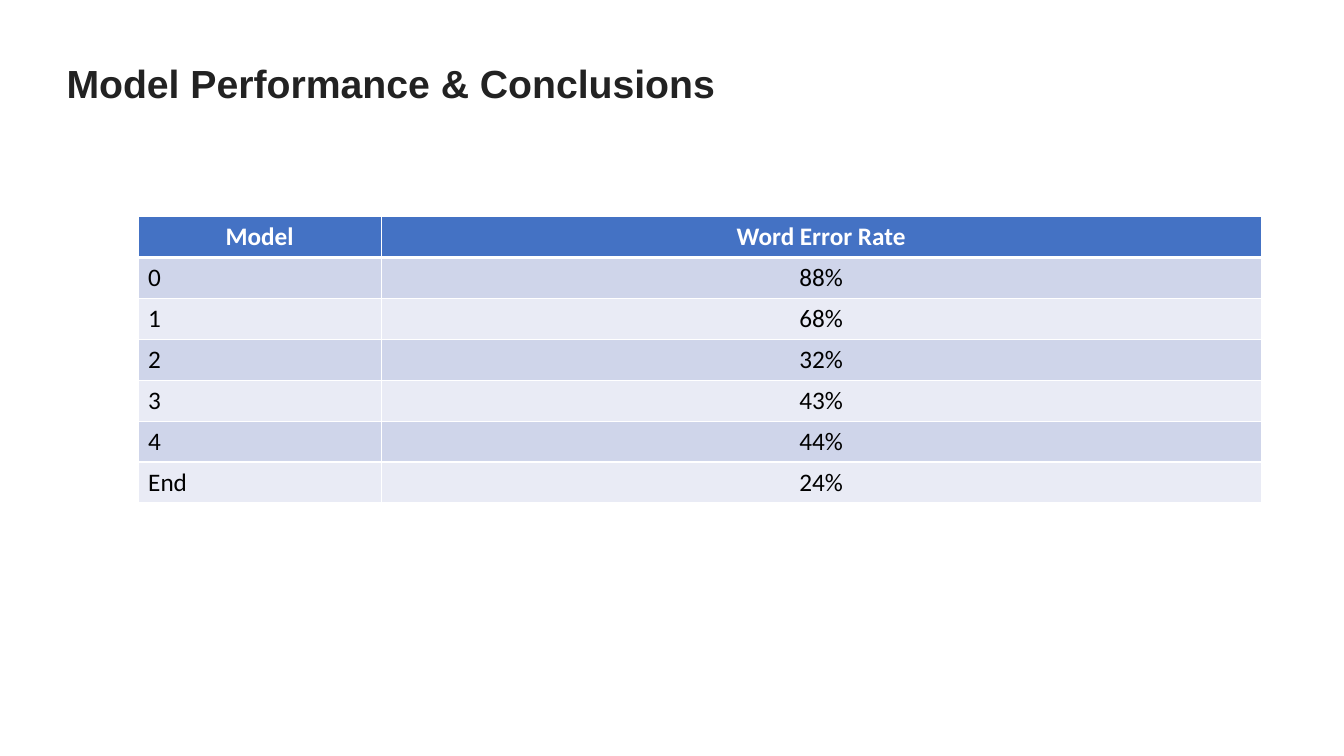
import pptx
import pptx.dml.color
import pptx.enum.text
import pptx.oxml
import pptx.oxml.ns
import pptx.util

Inches = pptx.util.Inches
Pt = pptx.util.Pt
RGBColor = pptx.dml.color.RGBColor
PP_ALIGN = pptx.enum.text.PP_ALIGN

WHITE = RGBColor(0xFF, 0xFF, 0xFF)
BLACK = RGBColor(0x00, 0x00, 0x00)
TITLE_GREY = RGBColor(0x22, 0x22, 0x22)
HEADER_BLUE = RGBColor(0x44, 0x72, 0xC4)
BANDS = (RGBColor(0xCF, 0xD5, 0xEA), RGBColor(0xE9, 0xEB, 0xF5))

SLIDE_SIZE = (13.33, 7.5)
TITLE_BOX = (0.56, 0.54, 7.23, 0.57)
TABLE_BOX = (1.37, 2.15, 11.14, 2.84)
MODEL_SHARE = 2.41 / 11.14

ERROR_RATES = [
    ("Model", "Word Error Rate"),
    ("0", "88%"),
    ("1", "68%"),
    ("2", "32%"),
    ("3", "43%"),
    ("4", "44%"),
    ("End", "24%"),
]


def format_font(font, color, **values):
    font.color.rgb = color
    for name, value in values.items():
        setattr(font, name, value)


def set_borders(cell, widths):
    """Draw white borders, with widths in points keyed by side."""
    properties = cell._tc.get_or_add_tcPr()
    for side, width in widths.items():
        properties.append(pptx.oxml.parse_xml(
            f'<a:ln{side} {pptx.oxml.ns.nsdecls("a")} w="{Pt(width)}">'
            f'<a:solidFill><a:srgbClr val="{WHITE}"/></a:solidFill></a:ln{side}>'))


def add_title(slide, box, text):
    title = slide.shapes.title
    for name, value in zip(("left", "top", "width", "height"), box):
        setattr(title, name, Inches(value))
    frame = title.text_frame
    frame.text = text
    frame_format = {
        "word_wrap": True,
        "auto_size": pptx.enum.text.MSO_AUTO_SIZE.NONE,
        "vertical_anchor": pptx.enum.text.MSO_ANCHOR.TOP,
    }
    for name, value in frame_format.items():
        setattr(frame, name, value)
    paragraph = frame.paragraphs[0]
    paragraph.alignment = PP_ALIGN.LEFT
    paragraph.line_spacing = 1.0
    paragraph.space_before = Pt(0)
    format_font(paragraph.runs[0].font, TITLE_GREY, name="Arial", size=Pt(28), bold=True)


def add_error_table(slide, box, rows):
    left, top, width, height = box
    table = slide.shapes.add_table(
        len(rows), len(rows[0]), *map(Inches, box)).table

    # Column and row grid
    for column, share in zip(table.columns, (MODEL_SHARE, 1 - MODEL_SHARE)):
        column.width = Inches(width * share)
    for row in table.rows:
        row.height = Inches(height / len(rows))

    # Header and banded body cells
    for row_index, values in enumerate(rows):
        header = row_index == 0
        fill = HEADER_BLUE if header else BANDS[(row_index - 1) % 2]
        for column_index, text in enumerate(values):
            cell = table.cell(row_index, column_index)
            set_borders(cell, {"L": 1, "R": 1, "T": 3 if row_index == 1 else 1,
                               "B": 3 if header else 1})
            cell.fill.solid()
            cell.fill.fore_color.rgb = fill
            cell.text = text
            paragraph = cell.text_frame.paragraphs[0]
            centred = header or column_index == 1
            paragraph.alignment = PP_ALIGN.CENTER if centred else PP_ALIGN.LEFT
            format_font(paragraph.runs[0].font, WHITE if header else BLACK,
                        name="Calibri", size=Pt(18), bold=header)


def main():
    presentation = pptx.Presentation()
    presentation.slide_width, presentation.slide_height = map(Inches, SLIDE_SIZE)
    slide = presentation.slides.add_slide(
        presentation.slide_layouts.get_by_name("Title Only"))
    slide.background.fill.solid()
    slide.background.fill.fore_color.rgb = WHITE

    add_title(slide, TITLE_BOX, "Model Performance & Conclusions")
    add_error_table(slide, TABLE_BOX, ERROR_RATES)
    presentation.save("out.pptx")


if __name__ == "__main__":
    main()
